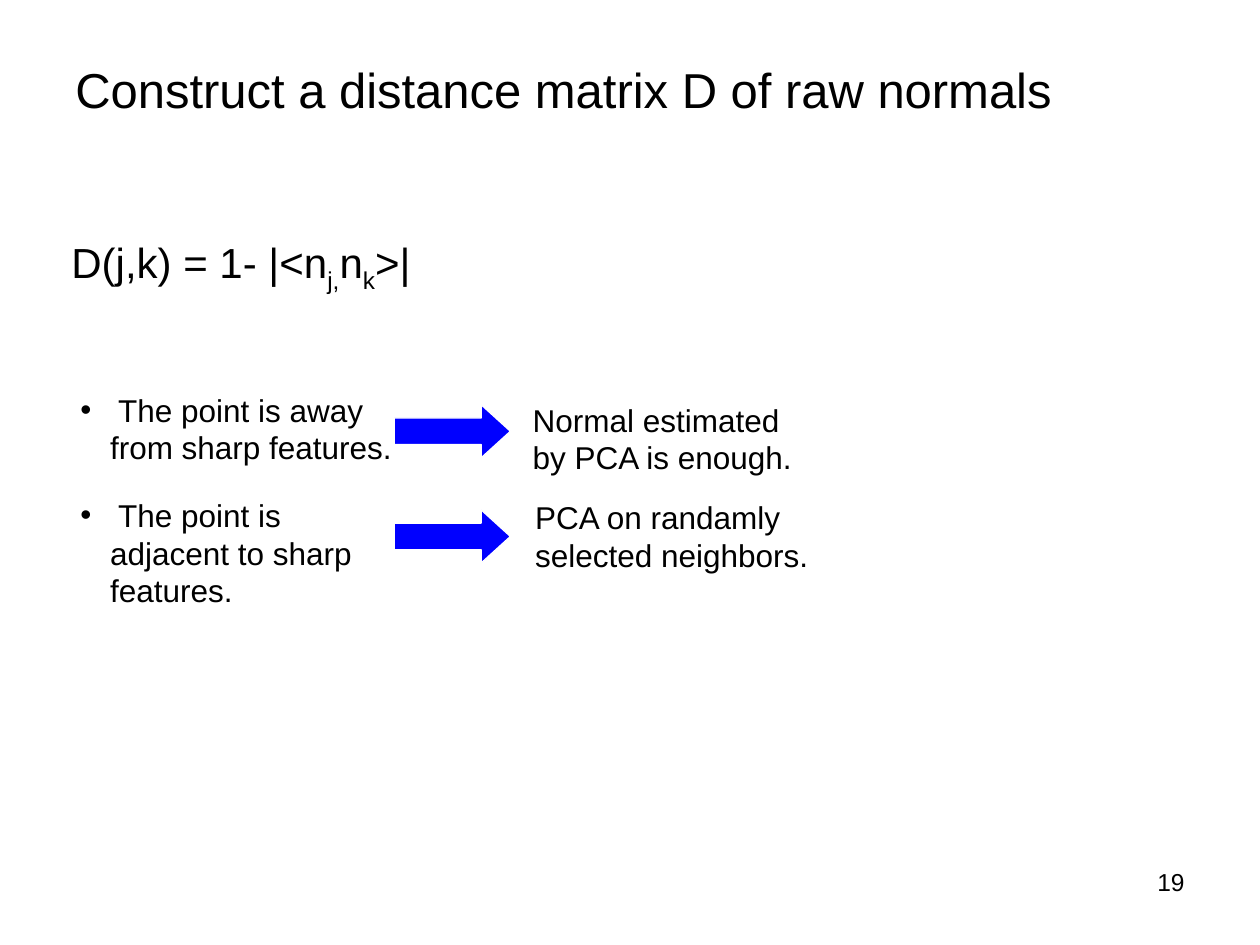
from lxml import etree
from pptx import Presentation, util as u
from pptx.dml.color import RGBColor
from pptx.enum import shapes, text
from pptx.oxml.ns import qn

BLACK, BLUE, WHITE = "000000", "0000FF", "FFFFFF"


def color(value):
    return RGBColor.from_string(value)


def set_font(font, size):
    for name, value in {"name": "Arial", "size": u.Pt(size)}.items():
        setattr(font, name, value)
    font.color.rgb = color(BLACK)


def add_text(slide, box, content, size, wrap=True, align=text.PP_ALIGN.LEFT):
    """Place a text box; content is a list of (text, is_subscript) runs."""
    shape = slide.shapes.add_textbox(*map(u.Cm, box))
    frame = shape.text_frame
    frame.word_wrap = wrap
    paragraph = frame.paragraphs[0]
    paragraph.alignment = align
    for wording, subscript in content:
        run = paragraph.add_run()
        run.text = wording
        set_font(run.font, size)
        if subscript:
            run.font._element.set("baseline", "-25000")
    return paragraph


def add_bullet(paragraph):
    properties = paragraph._p.get_or_add_pPr()
    indent = u.Cm(0.6)
    properties.set("marL", str(indent))
    properties.set("indent", str(-indent))
    etree.SubElement(properties, qn("a:buFont")).set("typeface", "Arial")
    etree.SubElement(properties, qn("a:buChar")).set("char", "•")


def add_arrow(slide, box):
    arrow = slide.shapes.add_shape(shapes.MSO_SHAPE.RIGHT_ARROW, *map(u.Cm, box))
    arrow.adjustments[0], arrow.adjustments[1] = 0.5, 0.55
    arrow.shadow.inherit = False
    arrow.fill.solid()
    arrow.fill.fore_color.rgb = color(BLUE)
    arrow.line.color.rgb = color(WHITE)
    arrow.line.width = u.Pt(0.75)


def add_case(slide, left, top, case, result, result_offset, result_width):
    """One row: bulleted case, arrow, result."""
    dx, dy = result_offset
    add_bullet(add_text(slide, (left, top, 6.99, 1.78), [(case, False)], 18))
    add_arrow(slide, (left + 6.58, top + 0.41, 2.34, 1.07))
    add_text(slide, (left + dx, top + dy, result_width, 1.78), [(result, False)], 18)


def build_slide(slide):
    # Title
    add_text(slide, (1.27, 1.07, 20.45, 1.45),
             [("Construct a distance matrix D of raw normals", False)], 28, wrap=False)

    # Distance formula
    formula = [("D(j,k) = 1- |<n", False), ("j,", True), ("n", False),
               ("k", True), (">|", False)]
    add_text(slide, (1.19, 4.65, 22.48, 1.3), formula, 24)

    # Cases and their treatment
    cases = [
        (" The point is away from sharp features.",
         "Normal estimated by PCA is enough.", (9.12, 0.2), 5.92),
        (" The point is adjacent to sharp features.",
         "PCA on randamly selected neighbors.", (9.17, 0.04), 6.99),
    ]
    for row, case in enumerate(cases):
        add_case(slide, 1.37, 7.75 + row * 2.12, *case)

    # Page number
    add_text(slide, (18.21, 17.35, 5.92, 1.32), [("19", False)], 14,
             align=text.PP_ALIGN.RIGHT)


def main():
    presentation = Presentation()
    presentation.slide_width, presentation.slide_height = u.Cm(25.4), u.Cm(19.05)
    build_slide(presentation.slides.add_slide(presentation.slide_layouts[6]))
    presentation.save("out.pptx")


if __name__ == "__main__":
    main()
